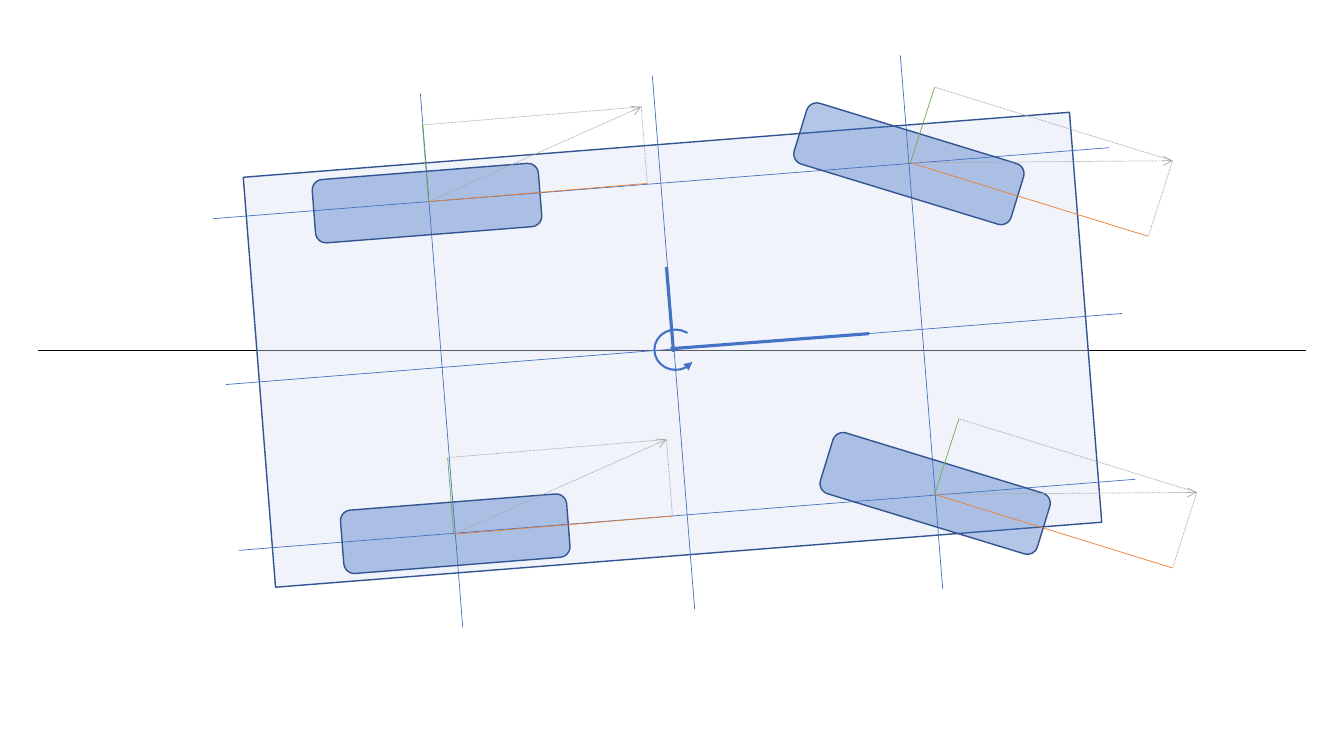
"""Draw a top view of a four-wheel vehicle with its axes and wheel velocity vectors."""
from lxml import etree
from pptx import Presentation
from pptx.dml.color import RGBColor
from pptx.enum.dml import MSO_LINE
from pptx.enum.shapes import MSO_CONNECTOR, MSO_SHAPE
from pptx.oxml.ns import qn
from pptx.util import Inches, Pt

RECT, ROUNDED, ARC = MSO_SHAPE.RECTANGLE, MSO_SHAPE.ROUNDED_RECTANGLE, MSO_SHAPE.ARC
STRAIGHT, DOTTED = MSO_CONNECTOR.STRAIGHT, MSO_LINE.ROUND_DOT
BLACK = RGBColor(0x00, 0x00, 0x00)
BLUE = RGBColor(0x44, 0x72, 0xC4)
PALE = RGBColor(0xDA, 0xE3, 0xF3)
NAVY = RGBColor(0x32, 0x54, 0x91)
ORANGE = RGBColor(0xED, 0x7D, 0x31)
GREEN = RGBColor(0x70, 0xAD, 0x47)
GREY = RGBColor(0xA5, 0xA5, 0xA5)
HEADING = -4.5

prs = Presentation()
prs.slide_width, prs.slide_height = Inches(13.33), Inches(7.5)
COL, ROW = prs.slide_width / 1333, prs.slide_height / 750
s = prs.slides.add_slide(prs.slide_layouts[6])
vehicle = s.shapes.add_group_shape().shapes


def add_line(start, vector, color, width=0.5, dash=None, arrow=False):
    x, y = start
    dx, dy = vector
    line = vehicle.add_connector(STRAIGHT, round(x * COL), round(y * ROW),
                                 round((x + dx) * COL), round((y + dy) * ROW))
    line.line.color.rgb = color
    for name, value in {"width": Pt(width), "dash_style": dash}.items():
        setattr(line.line, name, value)
    spPr = line._element.spPr
    if arrow:
        etree.SubElement(spPr.find(qn("a:ln")), qn("a:tailEnd"), type="arrow")
    etree.SubElement(spPr, qn("a:effectLst"))


def add_body(kind, center, size, angle, fill, color=NAVY, width=1):
    (x, y), (w, h) = center, size
    sp = vehicle.add_shape(kind, round((x - w / 2) * COL), round((y - h / 2) * ROW),
                           round(w * COL), round(h * ROW))
    sp.rotation = angle
    sp.shadow.inherit = False
    sp.line.color.rgb = color
    sp.line.width = Pt(width)
    if fill is None:
        sp.fill.background()
    else:
        sp.fill.solid()
        sp.fill.fore_color.rgb = fill
        clr = sp._element.spPr.find(qn("a:solidFill"))[0]
        etree.SubElement(clr, qn("a:alpha"), val="40000")
    return sp


add_line((38, 348), (1257, 0), BLACK)
add_body(RECT, (667, 347), (822, 408), HEADING, PALE)

for i in range(3):
    add_line((211 + 13 * i, 217 + 164.5 * i), (889, -70.5), BLUE)
for start in [(417, 93), (647, 75), (893, 55)]:
    add_line(start, (42, 529.5), BLUE)

REAR = {"angle": HEADING, "forward": (217, -18), "side": (-6, -76), "lag": 0}
FRONT = {"angle": 17, "forward": (236, 73), "side": (24, -75), "lag": 4}
wheels = [
    (REAR, (423.5, 201.5), (425, 200)),
    (REAR, (451.5, 529.5), (450, 530)),
    (FRONT, (901.5, 162.5), (903, 161.5)),
    (FRONT, (927.5, 489.5), (927, 490.5)),
]
for axle, center, hub in wheels:
    add_body(ROUNDED, center, (225, 63), axle["angle"], BLUE)

for axle, center, hub in wheels:
    forward, side, lag = axle["forward"], axle["side"], axle["lag"]
    front_end = (hub[0] + forward[0], hub[1] + forward[1])
    side_end = (hub[0] + side[0], hub[1] + side[1])
    add_line(hub, forward, ORANGE)
    add_line(hub, side, GREEN)
    add_line(side_end, forward, GREY, dash=DOTTED)
    add_line(front_end, side, GREY, dash=DOTTED)
    add_line((hub[0] - lag, hub[1]),
             (forward[0] + side[0] + lag, forward[1] + side[1]), GREY, dash=DOTTED, arrow=True)

add_line((665, 346), (197, -15), BLUE, 2.25)
add_line((661, 265), (7, 84), BLUE, 2.25)
yaw = add_body(ARC, (670, 347), (42, 40), 0, None, BLUE, 1.5)
for i, value in enumerate([21.62, 183.24]):
    yaw.adjustments[i] = value
etree.SubElement(yaw._element.spPr.find(qn("a:ln")), qn("a:headEnd"), type="triangle")

prs.save("out.pptx")
